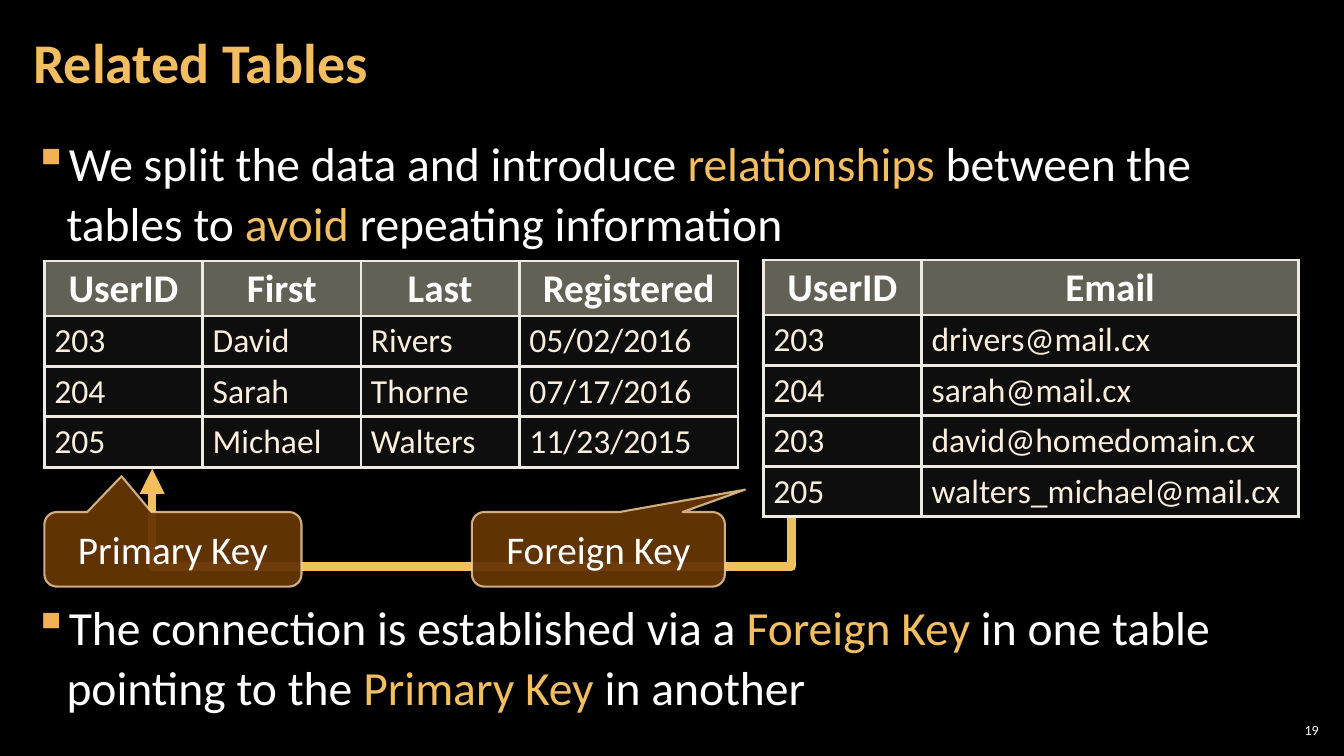
import lxml.etree
import pptx
import pptx.dml.color
import pptx.enum.shapes
import pptx.enum.text
import pptx.oxml.ns
import pptx.util

Inches = pptx.util.Inches
Pt = pptx.util.Pt
ALIGN = pptx.enum.text.PP_ALIGN
ANCHOR = pptx.enum.text.MSO_ANCHOR
COLORS = {
    "background": "000000",
    "accent": "F3BE60",
    "text": "FFFFFF",
    "bullet": "F2B254",
    "cell_text": "FBEEDC",
    "header_fill": "C6C0AA",
    "cell_fill": "464848",
    "border": "ECEAE3",
    "callout_fill": "663606",
    "callout_line": "F8D49E",
}


def rgb(name):
    return pptx.dml.color.RGBColor.from_string(COLORS[name])


def add_xml(parent, tag, **attributes):
    return lxml.etree.SubElement(parent, pptx.oxml.ns.qn(tag), attributes)


def set_alpha(color_element, percent):
    add_xml(color_element, "a:alpha", val=str(percent * 1000))


class SlideBuilder:
    font = "Calibri"

    def __init__(self, page):
        self.page = page
        page.background.fill.solid()
        page.background.fill.fore_color.rgb = rgb("background")

    def style(self, span, size, color, bold=False):
        span.font.name = self.font
        span.font.size = Pt(size)
        span.font.bold = bold
        span.font.color.rgb = rgb(color)

    def margins(self, target, horizontal, vertical):
        target.margin_left = target.margin_right = Inches(horizontal)
        target.margin_top = target.margin_bottom = Inches(vertical)

    def frame(self, place, margin, anchor):
        box = self.page.shapes.add_textbox(*map(Inches, place))
        frame = box.text_frame
        frame.word_wrap = True
        frame.vertical_anchor = anchor
        self.margins(frame, margin, 0.04)
        return frame

    def text(self, place, words, size, color, bold=False, align=ALIGN.LEFT, margin=0.12, spacing=1.0):
        frame = self.frame(place, margin, ANCHOR.MIDDLE)
        frame.text = words
        para = frame.paragraphs[0]
        para.alignment = align
        para.line_spacing = spacing
        self.style(para.runs[0], size, color, bold)

    def bullets(self, place, items, size):
        frame = self.frame(place, 0.12, ANCHOR.TOP)
        for index, (space_before, pieces) in enumerate(items):
            para = frame.add_paragraph() if index else frame.paragraphs[0]
            para.line_spacing = 1.05
            para.space_before = Pt(space_before)
            para.space_after = Pt(6)
            properties = para._p.get_or_add_pPr()
            properties.set("marL", str(Inches(0.33)))
            properties.set("indent", str(Inches(-0.33)))
            bullet_color = add_xml(properties, "a:buClr")
            add_xml(bullet_color, "a:srgbClr", val=COLORS["bullet"])
            add_xml(properties, "a:buChar", char="▪")
            for words, color in pieces:
                span = para.add_run()
                span.text = words
                self.style(span, size, color)

    def cell(self, cell, words, header):
        cell.text = words
        para = cell.text_frame.paragraphs[0]
        if header:
            para.alignment = ALIGN.CENTER
            para.line_spacing = 0.95
            self.style(para.runs[0], 28, "text", True)
        else:
            self.style(para.runs[0], 24, "cell_text")
        self.margins(cell, 0.17 if header else 0.1, 0.05)
        cell.fill.solid()
        cell.fill.fore_color.rgb = rgb("header_fill" if header else "cell_fill")
        properties = cell._tc.get_or_add_tcPr()
        set_alpha(properties.xpath("a:solidFill/a:srgbClr")[0], 50 if header else 20)
        for position, side in enumerate("LRTB"):
            border = add_xml(properties, "a:ln" + side, w=str(Pt(2.25)))
            add_xml(add_xml(border, "a:solidFill"), "a:srgbClr", val=COLORS["border"])
            properties.insert(position, border)

    def table(self, left, top, widths, rows):
        heights = [0.54] + [0.5] * (len(rows) - 1)
        place = (left, top, sum(widths), sum(heights))
        grid = self.page.shapes.add_table(len(rows), len(widths), *map(Inches, place)).table
        for column, width in zip(grid.columns, widths):
            column.width = Inches(width)
        for row_index, (row, height, values) in enumerate(zip(grid.rows, heights, rows)):
            row.height = Inches(height)
            for cell, words in zip(row.cells, values):
                self.cell(cell, words, row_index == 0)

    def callout(self, place, words, pointer):
        kind = pptx.enum.shapes.MSO_SHAPE.ROUNDED_RECTANGULAR_CALLOUT
        box = self.page.shapes.add_shape(kind, *map(Inches, place))
        for index, value in enumerate((*pointer, 0.167)):
            box.adjustments[index] = value
        box.shadow.inherit = False
        box.fill.solid()
        box.fill.fore_color.rgb = rgb("callout_fill")
        box.line.color.rgb = rgb("callout_line")
        box.line.width = Pt(1.5)
        properties = box._element.spPr
        set_alpha(properties.xpath("a:solidFill/a:srgbClr")[0], 95)
        set_alpha(properties.xpath("a:ln/a:solidFill/a:srgbClr")[0], 80)
        frame = box.text_frame
        frame.text = words
        frame.word_wrap = False
        frame.vertical_anchor = ANCHOR.MIDDLE
        self.margins(frame, 0.3, 0.1)
        frame.paragraphs[0].alignment = ALIGN.CENTER
        self.style(frame.paragraphs[0].runs[0], 28, "text")

    def key_arrow(self, start, end, bend):
        center_x, center_y = (start[0] + end[0]) / 2, (start[1] + end[1]) / 2
        half_rise, half_run = (start[1] - end[1]) / 2, (start[0] - end[0]) / 2
        corners = (center_x + half_rise, center_y - half_run, center_x - half_rise, center_y + half_run)
        kind = pptx.enum.shapes.MSO_CONNECTOR.ELBOW
        arrow = self.page.shapes.add_connector(kind, *map(Inches, corners))
        arrow.line.color.rgb = rgb("accent")
        arrow.line.width = Pt(6)
        properties = arrow._element.spPr
        properties.xpath("a:xfrm")[0].set("rot", "5400000")
        guides = properties.xpath("a:prstGeom/a:avLst")[0]
        add_xml(guides, "a:gd", name="adj1", fmla=f"val {round(bend * 100000)}")
        add_xml(properties.xpath("a:ln")[0], "a:tailEnd", type="triangle")
        add_xml(properties, "a:effectLst")


def main():
    deck = pptx.Presentation()
    deck.slide_width, deck.slide_height = Inches(13.33), Inches(7.5)
    slide = SlideBuilder(deck.slides.add_slide(deck.slide_layouts[6]))
    slide.key_arrow((7.85, 5.14), (1.51, 4.65), -0.98)
    slide.text((12.65, 7.14, 0.47, 0.21), "19", 10, "text", align=ALIGN.RIGHT, margin=0.04)
    slide.bullets((0.21, 1.26, 12.91, 6.09), [
        (6, [("We split the data and introduce ", "text"), ("relationships", "accent"),
             (" between the tables to ", "text"), ("avoid", "accent"),
             (" repeating information", "text")]),
        (240, [("The connection is established via a ", "text"), ("Foreign Key ", "accent"),
               ("in one table pointing to the ", "text"), ("Primary Key ", "accent"),
               ("in another", "text")]),
    ], 34)
    slide.text((0.21, 0.04, 10.47, 1.21), "Related Tables", 40, "accent", bold=True, spacing=0.9)
    slide.table(0.44, 2.59, [1.57, 1.57, 1.57, 2.17], [
        ("UserID", "First", "Last", "Registered"),
        ("203", "David", "Rivers", "05/02/2016"),
        ("204", "Sarah", "Thorne", "07/17/2016"),
        ("205", "Michael", "Walters", "11/23/2015"),
    ])
    slide.table(7.57, 2.58, [1.57, 3.74], [
        ("UserID", "Email"),
        ("203", "drivers@mail.cx"),
        ("204", "sarah@mail.cx"),
        ("203", "david@homedomain.cx"),
        ("205", "walters_michael@mail.cx"),
    ])
    slide.callout((0.44, 5.08, 2.55, 0.74), "Primary Key", (-0.2, -0.98))
    slide.callout((4.68, 5.08, 2.51, 0.74), "Foreign Key", (0.58, -0.8))
    deck.save("out.pptx")


if __name__ == "__main__":
    main()
